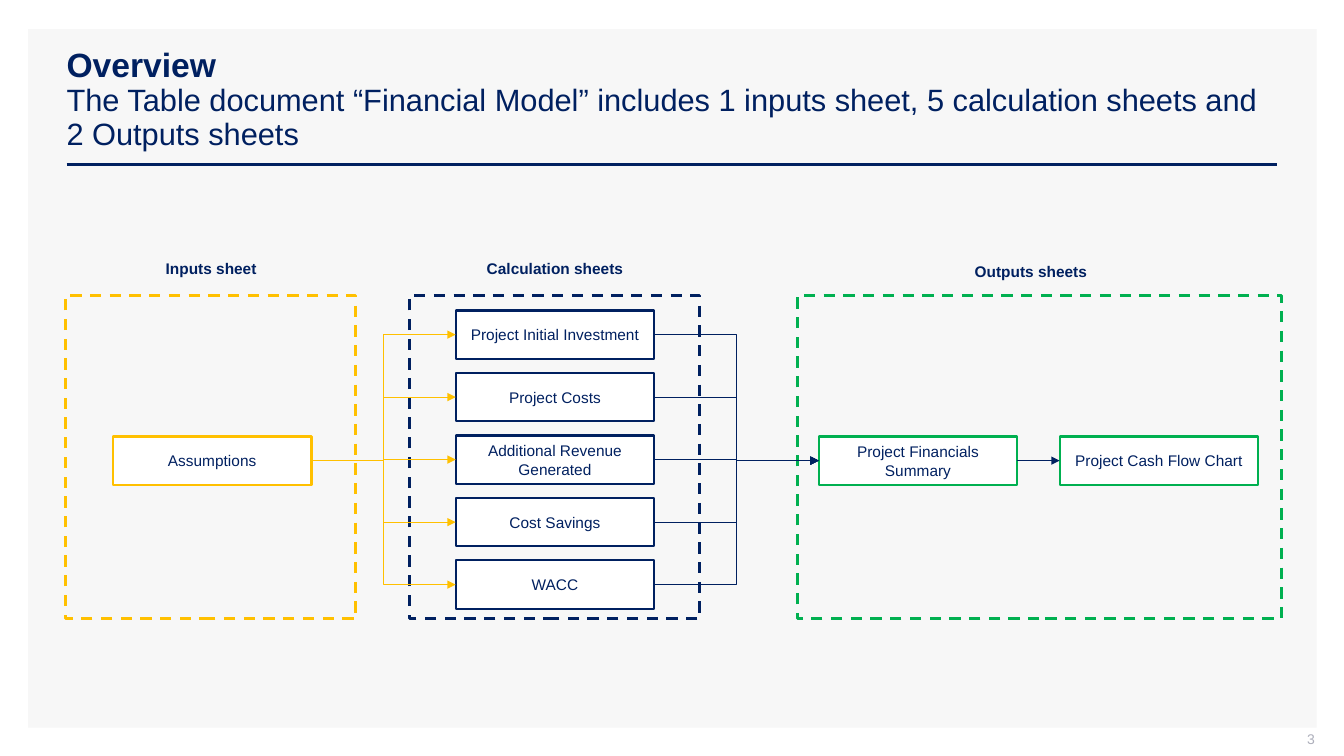
from lxml import etree
from pptx import Presentation
from pptx.dml.color import RGBColor
from pptx.enum import dml, shapes, text
from pptx.oxml import ns
from pptx.util import Inches, Pt

COLOURS = {"navy": "002060", "yellow": "FFC000", "green": "00B050",
           "panel": "F7F7F7", "white": "FFFFFF", "grey": "ADAFBB"}
FONT = "Arial"
NODE_WIDTH, NODE_HEIGHT = 1.97, 0.48
CALCULATIONS = ["Project Initial Investment", "Project Costs",
                "Additional Revenue Generated", "Cost Savings", "WACC"]


def colour(name):
    """Return the named palette colour."""
    return RGBColor.from_string(COLOURS[name])


def format_runs(paragraph, size, name="navy", bold=False):
    """Apply one font to every run of a paragraph."""
    for run in paragraph.runs:
        run.font.name = FONT
        run.font.size = Pt(size)
        run.font.bold = bold
        run.font.color.rgb = colour(name)


def add_rectangle(slide, box, fill=None, line=None, width=1.5):
    """Draw a rectangle with an optional fill and outline."""
    shape = slide.shapes.add_shape(
        shapes.MSO_SHAPE.RECTANGLE, *[Inches(value) for value in box])
    shape.shadow.inherit = False
    if fill:
        shape.fill.solid()
        shape.fill.fore_color.rgb = colour(fill)
    else:
        shape.fill.background()
    if line:
        shape.line.color.rgb = colour(line)
        shape.line.width = Pt(width)
    else:
        shape.line.fill.background()
    return shape


def add_label(slide, box, wording, size=11, name="navy", bold=True):
    """Add a centred, wrapping text box."""
    label = slide.shapes.add_textbox(*[Inches(value) for value in box])
    frame = label.text_frame
    frame.word_wrap = True
    frame.text = wording
    paragraph = frame.paragraphs[0]
    paragraph.alignment = text.PP_ALIGN.CENTER
    format_runs(paragraph, size, name, bold)
    return label


def add_node(slide, left, top, wording, line):
    """Draw one sheet as a white box with a coloured outline."""
    node = add_rectangle(slide, (left, top, NODE_WIDTH, NODE_HEIGHT), "white", line)
    frame = node.text_frame
    frame.text = wording
    frame.word_wrap = True
    frame.vertical_anchor = text.MSO_ANCHOR.MIDDLE
    paragraph = frame.paragraphs[0]
    paragraph.alignment = text.PP_ALIGN.CENTER
    format_runs(paragraph, 11)
    return node


def add_line(slide, kind, ends, name, width):
    """Draw a connector without a shadow."""
    line = slide.shapes.add_connector(kind, *[Inches(value) for value in ends])
    line.line.color.rgb = colour(name)
    line.line.width = Pt(width)
    etree.SubElement(line.element.spPr, ns.qn("a:effectLst"))
    return line


def add_arrow(slide, source, target, name, kind=shapes.MSO_CONNECTOR.ELBOW):
    """Join the right side of one node to the left side of another."""
    arrow = add_line(slide, kind, (0, 0, 0, 0), name, 0.5)
    arrow.begin_connect(source, 3)
    arrow.end_connect(target, 1)
    outline = arrow.line._get_or_add_ln()
    etree.SubElement(outline, ns.qn("a:tailEnd"), type="triangle")


def build_sheet_group(slide, box, heading, label_box, line, nodes):
    """Draw a dashed group with its heading and nodes placed inside the box."""
    left, top = box[:2]
    frame = add_rectangle(slide, box, line=line, width=2)
    frame.line.dash_style = dml.MSO_LINE.DASH
    x, y, width = label_box
    add_label(slide, (left + x, top + y, width, 0.32), heading)
    return [add_node(slide, left + dx, top + dy, wording, line)
            for wording, dx, dy in nodes]


def build_header(slide, box):
    """Place the title and the rule below it."""
    left, top, width, height = box
    title = slide.shapes.title
    title.left, title.top, title.width, title.height = [Inches(v) for v in box]
    frame = title.text_frame
    frame.text = ("Overview\vThe Table document “Financial Model” includes 1 inputs sheet, "
                  "5 calculation sheets and 2 Outputs sheets")
    frame.word_wrap = True
    frame.auto_size = text.MSO_AUTO_SIZE.NONE
    frame.vertical_anchor = text.MSO_ANCHOR.MIDDLE
    paragraph = frame.paragraphs[0]
    paragraph.alignment = text.PP_ALIGN.LEFT
    paragraph.line_spacing = 0.9
    format_runs(paragraph, 22)
    heading = paragraph.runs[0].font
    heading.size = Pt(24)
    heading.bold = True
    rule = top + height + 0.04
    add_line(slide, shapes.MSO_CONNECTOR.STRAIGHT,
             (left + 0.1, rule, left + width, rule), "navy", 2)


def build_flow(slide, box):
    """Draw the three sheet groups and the arrows between them."""
    left, top, width, height = box
    inputs = build_sheet_group(
        slide, (left, top, 2.88, height), "Inputs sheet", (0.23, -0.41, 2.43),
        "yellow", [("Assumptions", 0.47, 1.4)])
    calculations = build_sheet_group(
        slide, (left + 3.41, top, 2.88, height), "Calculation sheets",
        (0.23, -0.41, 2.43), "navy",
        [(name, 0.46, 0.15 + 0.62 * row) for row, name in enumerate(CALCULATIONS)])
    outputs = build_sheet_group(
        slide, (left + 7.26, top, width - 7.26, height), "Outputs sheets",
        (0.33, -0.38, 3.97), "green",
        [("Project Financials Summary", 0.21, 1.4),
         ("Project Cash Flow Chart", 2.6, 1.4)])
    for calculation in calculations:
        add_arrow(slide, inputs[0], calculation, "yellow")
        add_arrow(slide, calculation, outputs[0], "navy")
    add_arrow(slide, outputs[0], outputs[1], "navy", shapes.MSO_CONNECTOR.STRAIGHT)


def build_page_number(slide, box):
    """Place the page number at the right of its box."""
    number = add_label(slide, box, "3", 10, "grey", False)
    frame = number.text_frame
    frame.margin_top = frame.margin_right = 0
    frame.margin_left, frame.margin_bottom = Inches(0.1), Inches(0.05)
    frame.vertical_anchor = text.MSO_ANCHOR.MIDDLE
    frame.paragraphs[0].alignment = text.PP_ALIGN.RIGHT


def main():
    """Build the overview slide and save it."""
    presentation = Presentation()
    presentation.slide_width = Inches(13.33)
    presentation.slide_height = Inches(7.5)
    slide = presentation.slides.add_slide(presentation.slide_layouts[5])
    panel = add_rectangle(slide, (0.28, 0.29, 12.78, 6.93), "panel")
    panel.element.addnext(slide.shapes.title.element)
    build_header(slide, (0.56, 0.4, 12.11, 1.19))
    build_flow(slide, (0.65, 2.93, 12.06, 3.21))
    build_page_number(slide, (10.04, 7.25, 3, 0.21))
    presentation.save("out.pptx")


if __name__ == "__main__":
    main()
